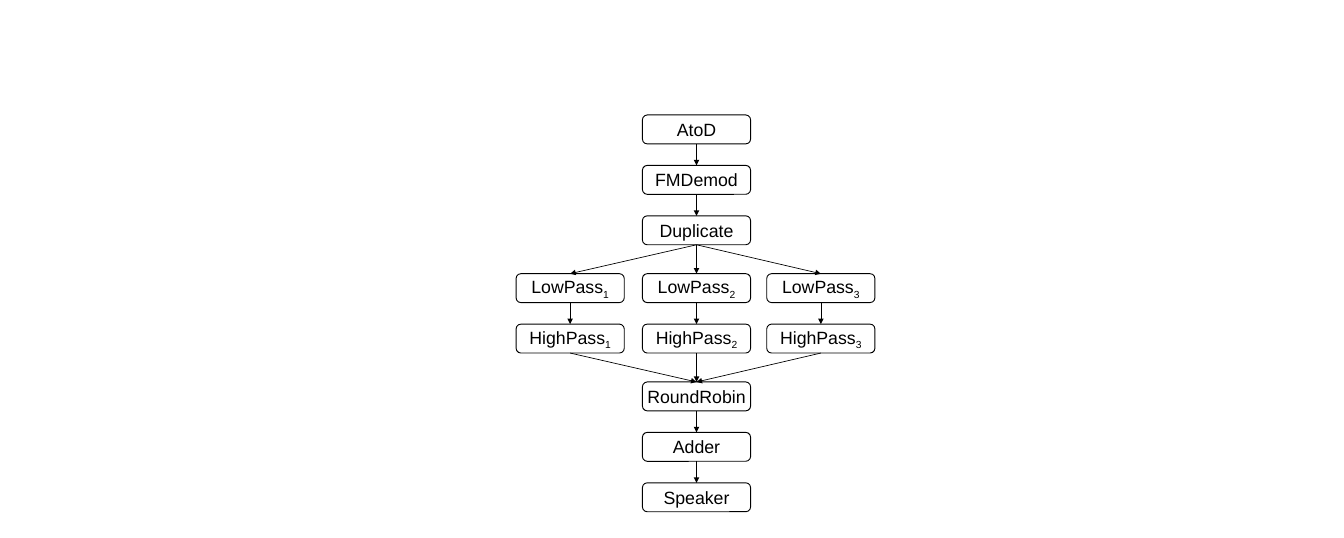
from dataclasses import dataclass
from itertools import pairwise, product

from lxml import etree
from pptx import Presentation
from pptx.dml.color import RGBColor
from pptx.enum.shapes import MSO_CONNECTOR, MSO_SHAPE
from pptx.enum.text import MSO_ANCHOR, PP_ALIGN
from pptx.oxml.ns import qn
from pptx.util import Inches, Pt

ROUNDED = MSO_SHAPE.ROUNDED_RECTANGLE
STRAIGHT = MSO_CONNECTOR.STRAIGHT
MIDDLE = MSO_ANCHOR.MIDDLE
CENTER = PP_ALIGN.CENTER
TOP_SITE, BOTTOM_SITE = 0, 2

STAGES = [
    [("AtoD", "")],
    [("FMDemod", "")],
    [("Duplicate", "")],
    [("LowPass", "1"), ("LowPass", "2"), ("LowPass", "3")],
    [("HighPass", "1"), ("HighPass", "2"), ("HighPass", "3")],
    [("RoundRobin", "")],
    [("Adder", "")],
    [("Speaker", "")],
]

SLIDE_W, SLIDE_H = 20, 8
COLUMN_LEFTS = (7.68, 9.56, 11.41)
FIRST_TOP = 1.71
ROW_PITCH = 0.75
FAN_EXTRA = 0.11
FILTER_W, FILTER_H = 1.61, 0.43


@dataclass(frozen=True)
class Theme:
    ink: RGBColor = RGBColor(0, 0, 0)
    font: str = "Arial"
    label_size: Pt = Pt(19)
    outline: Pt = Pt(1)
    arrow: Pt = Pt(0.75)
    subscript: str = "-25000"


THEME = Theme()


def add_label_run(paragraph, text):
    run = paragraph.add_run()
    run.text = text
    run.font.name = THEME.font
    run.font.size = THEME.label_size
    run.font.color.rgb = THEME.ink
    return run


def add_filter(slide, left, top, name, index):
    box = slide.shapes.add_shape(
        ROUNDED, Inches(left), Inches(top), Inches(FILTER_W), Inches(FILTER_H))
    box.shadow.inherit = False
    box.fill.background()
    box.line.color.rgb = THEME.ink
    box.line.width = THEME.outline
    frame = box.text_frame
    frame.word_wrap = False
    frame.vertical_anchor = MIDDLE
    frame.margin_left = frame.margin_right = Inches(0.11)
    frame.margin_top = frame.margin_bottom = Inches(0.05)
    label = frame.paragraphs[0]
    label.alignment = CENTER
    add_label_run(label, name)
    if index:
        subscript = add_label_run(label, index)
        subscript.font._element.set("baseline", THEME.subscript)
    return box


def add_flow(slide, source, target):
    flow = slide.shapes.add_connector(STRAIGHT, 0, 0, 0, 0)
    flow.begin_connect(source, BOTTOM_SITE)
    flow.end_connect(target, TOP_SITE)
    flow.line.color.rgb = THEME.ink
    flow.line.width = THEME.arrow
    etree.SubElement(flow.line._get_or_add_ln(), qn("a:tailEnd"), type="triangle")
    etree.SubElement(flow._element.spPr, qn("a:effectLst"))


def add_stages(slide):
    rows = []
    top = FIRST_TOP
    for stage in STAGES:
        if rows:
            top += ROW_PITCH
            if len(stage) != len(rows[-1]):
                top += FAN_EXTRA
        lefts = COLUMN_LEFTS if len(stage) > 1 else COLUMN_LEFTS[1:2]
        rows.append([add_filter(slide, left, top, name, index)
                     for left, (name, index) in zip(lefts, stage)])
    return rows


def main():
    deck = Presentation()
    deck.slide_width, deck.slide_height = Inches(SLIDE_W), Inches(SLIDE_H)
    slide = deck.slides.add_slide(deck.slide_layouts[6])
    for upper, lower in pairwise(add_stages(slide)):
        pairs = zip(upper, lower) if len(upper) == len(lower) else product(upper, lower)
        for source, target in pairs:
            add_flow(slide, source, target)
    deck.save("out.pptx")


if __name__ == "__main__":
    main()
